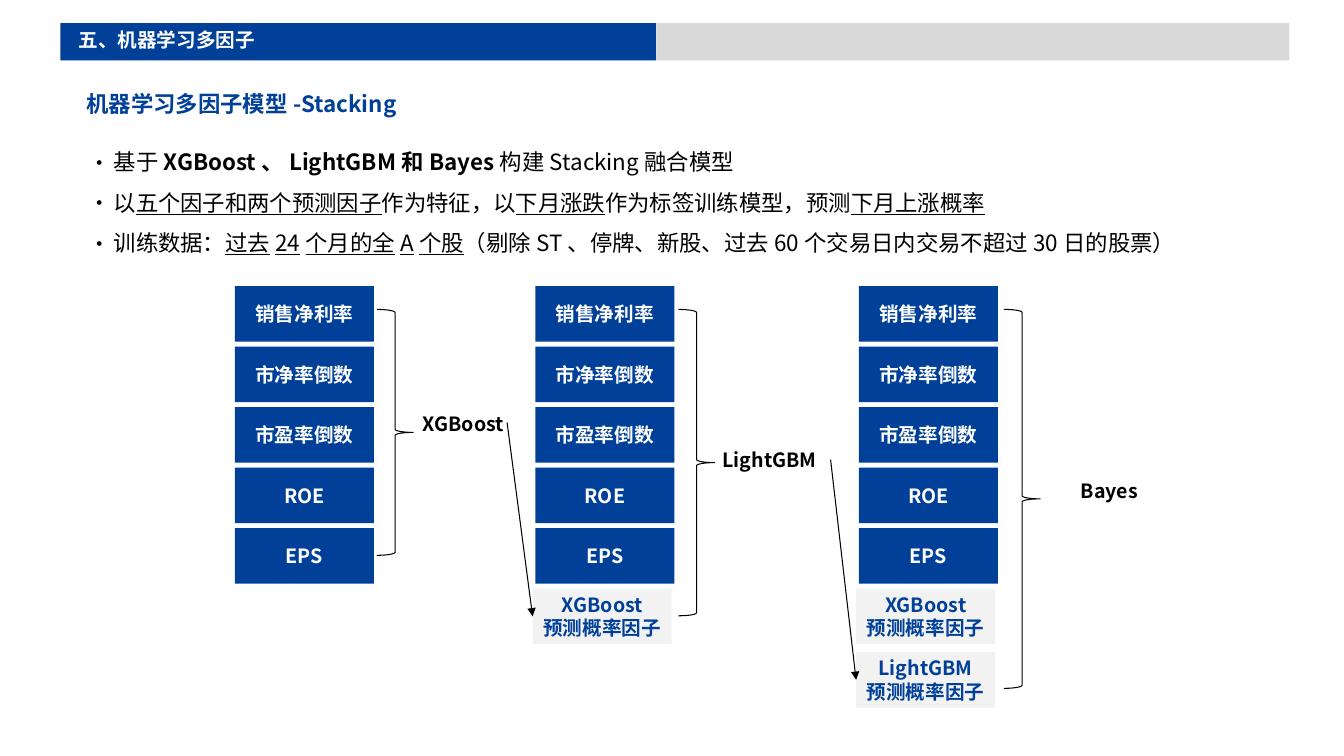
from dataclasses import dataclass
from typing import Any

import pptx
import pptx.dml.color
import pptx.enum.shapes
import pptx.enum.text
import pptx.oxml.ns
import pptx.oxml.xmlchemy
import pptx.util
from lxml import etree

MSO_SHAPE = pptx.enum.shapes.MSO_SHAPE
ALIGN = pptx.enum.text.PP_ALIGN
ANCHOR = pptx.enum.text.MSO_ANCHOR
AUTO = pptx.enum.text.MSO_AUTO_SIZE
qn = pptx.oxml.ns.qn


@dataclass(frozen=True)
class Theme:
    font: str = "Noto Sans CJK SC"
    blue: str = "004098"
    grey: str = "D9D9D9"
    pale: str = "F2F2F2"
    white: str = "FFFFFF"
    black: str = "000000"
    small: int = 14
    large: int = 16
    line: float = 0.75


@dataclass(frozen=True)
class Box:
    x: float
    y: float
    w: float
    h: float


@dataclass(frozen=True)
class Run:
    text: str
    bold: bool = False
    underline: bool = False


@dataclass(frozen=True)
class Model:
    name: str
    x: float
    forecasts: tuple[str, ...]
    brace_x: float
    brace_h: float
    label_x: float
    label_y: float


@dataclass(frozen=True)
class Arrow:
    x: float
    y: float
    model: str
    forecast: str


THEME = Theme()
GRID = 100
SLIDE_W, SLIDE_H = pptx.util.Inches(13.333), pptx.util.Inches(7.5)
CARD_W, CARD_H, CARD_TOP, ROW_STEP = 10.35, 7.33, 37.87, 8
FORECAST_STEP, FORECAST_SHIFT = 8.4, -0.2
BRACE_TOP, BRACE_W = 40.93, 2.7
LABEL_W, LABEL_H = 8.93, 4.53
BULLET_INDENT = 0.25

FACTORS = ("销售净利率", "市净率倒数", "市盈率倒数", "ROE", "EPS")
MODELS = (
    Model("XGBoost", 17.48, (), 28.05, 32.53, 30, 53.87),
    Model("LightGBM", 39.83, ("XGBoost",), 50.48, 40.53, 52.8, 58.53),
    Model("Bayes", 63.9, ("XGBoost", "LightGBM"), 74.7, 50.13, 78.08, 62.67),
)
ARROWS = (
    Arrow(37.73, 55.87, "LightGBM", "XGBoost"),
    Arrow(61.8, 60.8, "Bayes", "LightGBM"),
)
BULLETS = (
    (Run("基于"), Run("XGBoost、LightGBM和Bayes", bold=True), Run("构建Stacking融合模型")),
    (
        Run("以"), Run("五个因子和两个预测因子", underline=True), Run("作为特征，以"),
        Run("下月涨跌", underline=True), Run("作为标签训练模型，预测"),
        Run("下月上涨概率", underline=True),
    ),
    (
        Run("训练数据："), Run("过去24个月的全A个股", underline=True),
        Run("（剔除ST、停牌、新股、过去60个交易日内交易不超过30日的股票）"),
    ),
)


def rgb(value: str) -> pptx.dml.color.RGBColor:
    return pptx.dml.color.RGBColor.from_string(value)


def col(value: float) -> int:
    return round(SLIDE_W * value / GRID)


def row(value: float) -> int:
    return round(SLIDE_H * value / GRID)


def place(box: Box) -> tuple[int, int, int, int]:
    return col(box.x), row(box.y), col(box.w), row(box.h)


def apply(target: Any, values: dict[str, Any]) -> None:
    for key, value in values.items():
        setattr(target, key, value)


def add_run(p: Any, run: Run, size: int, color: str) -> None:
    r = p.add_run()
    r.text = run.text
    apply(r.font, {
        "name": THEME.font, "size": pptx.util.Pt(size),
        "bold": run.bold, "underline": run.underline,
    })
    r.font.color.rgb = rgb(color)
    ea = etree.Element(qn("a:ea"), typeface=THEME.font)
    r.font._element.find(qn("a:latin")).addnext(ea)


def write(sp: Any, lines: tuple[str, ...], size: int, color: str,
          align: Any = ALIGN.LEFT, anchor: Any = ANCHOR.TOP) -> None:
    tf = sp.text_frame
    apply(tf, {"word_wrap": True, "auto_size": AUTO.NONE, "vertical_anchor": anchor})
    for i, line in enumerate(lines):
        p = tf.paragraphs[0] if i == 0 else tf.add_paragraph()
        p.alignment = align
        add_run(p, Run(line, bold=True), size, color)


def add_block(s: Any, box: Box, fill: str) -> Any:
    sp = s.shapes.add_shape(MSO_SHAPE.RECTANGLE, *place(box))
    sp.shadow.inherit = False
    sp.fill.solid()
    sp.fill.fore_color.rgb = rgb(fill)
    sp.line.fill.background()
    return sp


def add_card(s: Any, x: float, y: float, lines: tuple[str, ...],
             fill: str, color: str) -> Any:
    sp = add_block(s, Box(x, y, CARD_W, CARD_H), fill)
    write(sp, lines, THEME.small, color, ALIGN.CENTER, ANCHOR.MIDDLE)
    return sp


def add_bullets(s: Any, box: Box) -> None:
    tf = s.shapes.add_textbox(*place(box)).text_frame
    tf.word_wrap = True
    indent = pptx.util.Inches(BULLET_INDENT)
    for i, runs in enumerate(BULLETS):
        p = tf.paragraphs[0] if i == 0 else tf.add_paragraph()
        p.line_spacing = 1.5
        ppr = p._p.get_or_add_pPr()
        ppr.set("marL", str(indent))
        ppr.set("indent", str(-indent))
        etree.SubElement(ppr, qn("a:buFont"), typeface=THEME.font)
        etree.SubElement(ppr, qn("a:buChar"), char="·")
        for run in runs:
            add_run(p, run, THEME.large, THEME.black)


def style_line(sp: Any) -> None:
    sp.line.color.rgb = rgb(THEME.black)
    sp.line.width = pptx.util.Pt(THEME.line)


def add_model(s: Any, model: Model) -> dict[str, Any]:
    for i, factor in enumerate(FACTORS):
        add_card(s, model.x, CARD_TOP + i * ROW_STEP, (factor,), THEME.blue, THEME.white)
    top = CARD_TOP + len(FACTORS) * ROW_STEP
    cards = {
        name: add_card(s, model.x + FORECAST_SHIFT, top + i * FORECAST_STEP,
                       (name, "预测概率因子"), THEME.pale, THEME.blue)
        for i, name in enumerate(model.forecasts)
    }
    brace = s.shapes.add_shape(
        MSO_SHAPE.RIGHT_BRACE, *place(Box(model.brace_x, BRACE_TOP, BRACE_W, model.brace_h)))
    brace.shadow.inherit = False
    brace.fill.background()
    style_line(brace)
    label = s.shapes.add_textbox(*place(Box(model.label_x, model.label_y, LABEL_W, LABEL_H)))
    write(label, (model.name,), THEME.small, THEME.black, ALIGN.CENTER)
    return cards


def add_arrow(s: Any, arrow: Arrow, card: Any) -> None:
    x, y = col(arrow.x), row(arrow.y)
    sp = s.shapes.add_connector(pptx.enum.shapes.MSO_CONNECTOR.STRAIGHT, x, y, x, y)
    sp.end_connect(card, 1)
    style_line(sp)
    etree.SubElement(sp.line._get_or_add_ln(), qn("a:tailEnd"), type="triangle")
    etree.SubElement(sp._element.spPr, qn("a:effectLst"))


def main() -> None:
    prs = pptx.Presentation()
    apply(prs, {"slide_width": SLIDE_W, "slide_height": SLIDE_H})
    s = prs.slides.add_slide(prs.slide_layouts[5])
    title = s.shapes.title
    apply(title, dict(zip(("left", "top", "width", "height"),
                          place(Box(5.7, 11.2, 87.45, 4.93)))))
    write(title, ("机器学习多因子模型-Stacking",), THEME.large, THEME.blue)
    add_block(s, Box(4.5, 3.07, 44.33, 4.93), THEME.blue)
    add_block(s, Box(48.83, 3.07, 47.1, 4.93), THEME.grey)
    section = s.shapes.add_textbox(*place(Box(5.1, 3.07, 27.15, LABEL_H)))
    write(section, ("五、机器学习多因子",), THEME.small, THEME.white)
    add_bullets(s, Box(5.85, 17.2, 87.45, 17.47))
    cards = {model.name: add_model(s, model) for model in MODELS}
    for arrow in ARROWS:
        add_arrow(s, arrow, cards[arrow.model][arrow.forecast])
    prs.save("out.pptx")


if __name__ == "__main__":
    main()
